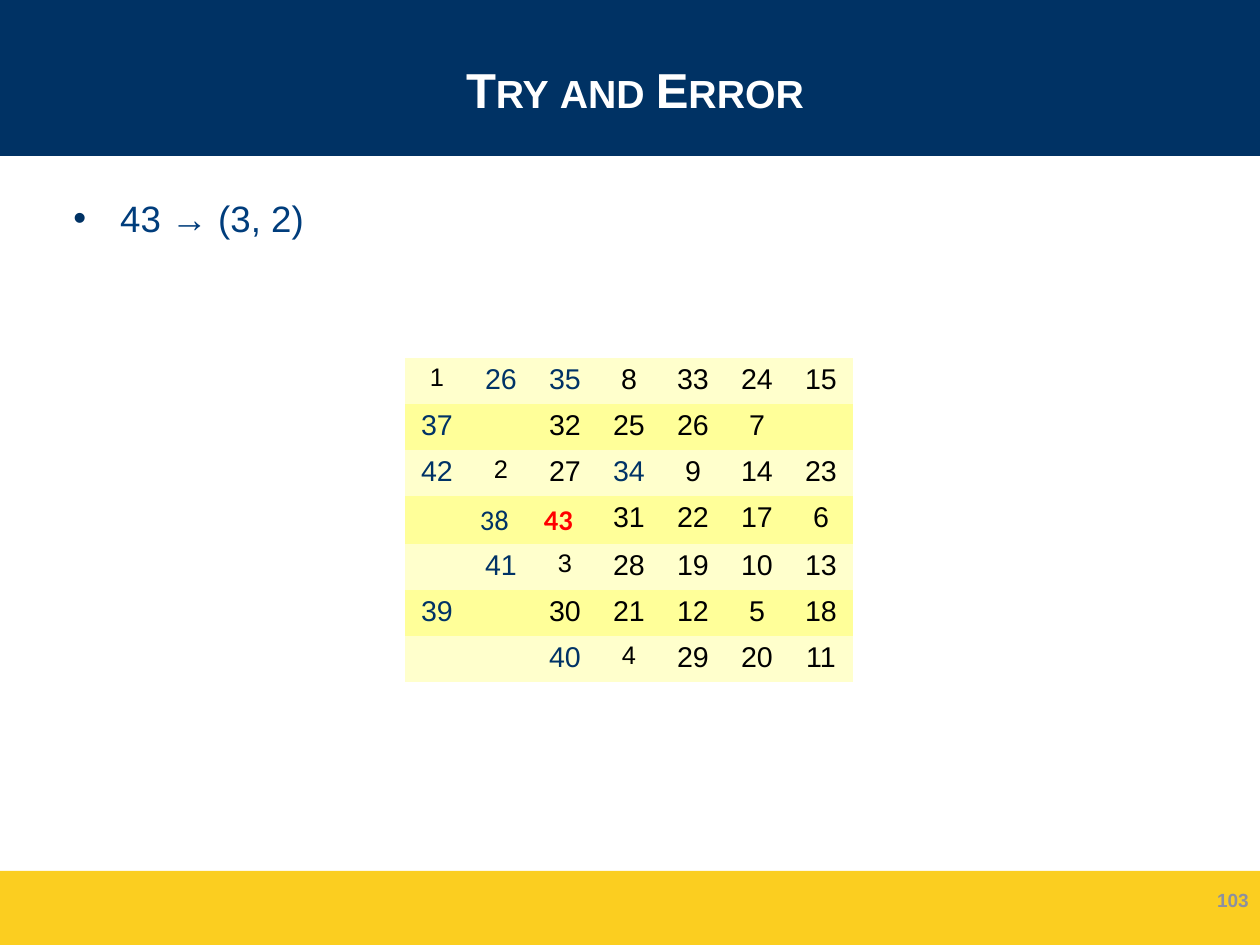
from lxml import etree
from pptx import Presentation
from pptx import util as u
from pptx.dml.color import RGBColor
from pptx.enum import shapes, text
from pptx.oxml.ns import qn

PX = 8000
COLORS = {
    "navy": "003264", "gold": "FBCE20", "white": "FFFFFF", "body": "003D7C",
    "page_number": "8C90A0", "trial": "003366", "black": "000000", "red": "FF0000",
    "light_row": "FFFFCC", "dark_row": "FFFF99",
}
NO_GRID_STYLE = "{2D5ABB26-0587-4C30-8999-92F81FD0307C}"


def write(para, words, color, **formats):
    span = para.add_run()
    span.text = words
    span.font.color.rgb = RGBColor.from_string(COLORS[color])
    for name, value in formats.items():
        setattr(span.font, name, value)
    return span


def add_text_box(left, top, width, height, anchor, align):
    box = page.shapes.add_textbox(*(n * PX for n in (left, top, width, height)))
    box.text_frame.word_wrap = True
    box.text_frame.vertical_anchor = anchor
    para = box.text_frame.paragraphs[0]
    para.alignment = align
    return para


deck = Presentation()
deck.slide_width, deck.slide_height = 1260 * PX, 945 * PX
page = deck.slides.add_slide(deck.slide_layouts[6])

# Header and footer bands
for top, height, color in ((0, 156, "navy"), (871, 74, "gold")):
    band = page.shapes.add_shape(shapes.MSO_SHAPE.RECTANGLE, 0, top * PX, 1260 * PX, height * PX)
    band.shadow.inherit = False
    band.fill.solid()
    band.fill.fore_color.rgb = RGBColor.from_string(COLORS[color])
    band.line.fill.background()

# Title
title = add_text_box(62, 21, 1146, 136, text.MSO_ANCHOR.MIDDLE, text.PP_ALIGN.CENTER)
span = write(title, "Try and Error", "white", name="Arial", size=u.Pt(30.9), bold=True)
span.font._element.set("cap", "small")

# Bullet
bullet = add_text_box(62, 190, 1146, 680, text.MSO_ANCHOR.TOP, text.PP_ALIGN.LEFT)
props = bullet._p.get_or_add_pPr()
props.set("marL", str(47 * PX))
props.set("indent", str(-47 * PX))
bullet_color = etree.SubElement(props, qn("a:buClr"))
etree.SubElement(bullet_color, qn("a:srgbClr"), val=COLORS["navy"])
etree.SubElement(props, qn("a:buFont"), typeface="Arial")
etree.SubElement(props, qn("a:buChar"), char="•")
write(bullet, "43 → (3, 2)", "body", name="Arial", size=u.Pt(23.1))

# Page number
number = add_text_box(966, 876, 294, 50, text.MSO_ANCHOR.MIDDLE, text.PP_ALIGN.RIGHT)
number.line_spacing = 0.93
write(number, "103", "page_number", name="Arial", size=u.Pt(12), bold=True)

# Number square
SQUARE = [
    [1, 26, 35, 8, 33, 24, 15],
    [37, None, 32, 25, 26, 7, None],
    [42, 2, 27, 34, 9, 14, 23],
    [None, 38, 43, 31, 22, 17, 6],
    [None, 41, 3, 28, 19, 10, 13],
    [39, None, 30, 21, 12, 5, 18],
    [None, None, 40, 4, 29, 20, 11],
]
ROW_HEIGHTS = [44, 45, 44, 48, 46, 46, 46]
frame = page.shapes.add_table(7, 7, 405 * PX, 358 * PX, 7 * 64 * PX, sum(ROW_HEIGHTS) * PX)
square = frame.table
square._tbl.tblPr.find(qn("a:tableStyleId")).text = NO_GRID_STYLE
square.first_row = square.horz_banding = False
for column in square.columns:
    column.width = 64 * PX

for r, values in enumerate(SQUARE):
    square.rows[r].height = ROW_HEIGHTS[r] * PX
    for c, value in enumerate(values):
        cell = square.cell(r, c)
        cell.fill.solid()
        cell.fill.fore_color.rgb = RGBColor.from_string(COLORS["dark_row" if r % 2 else "light_row"])
        margins = {"margin_left": 11, "margin_top": 8, "margin_right": 11, "margin_bottom": 6}
        for name, value_px in margins.items():
            setattr(cell, name, value_px * PX)
        para = cell.text_frame.paragraphs[0]
        if value is None:
            # Small end mark keeps an empty cell from stretching its row
            etree.SubElement(para._p, qn("a:endParaRPr"), sz="1200")
            continue
        latest = value in (38, 43)
        if not latest:
            para.alignment = text.PP_ALIGN.CENTER
            para.line_spacing = 0.93
        tried = value >= 34 or (r, c) == (0, 1)
        color = "red" if value == 43 else "trial" if tried else "black"
        write(para, str(value), color, name="Calibri" if latest else "Arial",
              size=u.Pt(16 if value <= 4 else 18), bold=value == 43)

deck.save("out.pptx")
